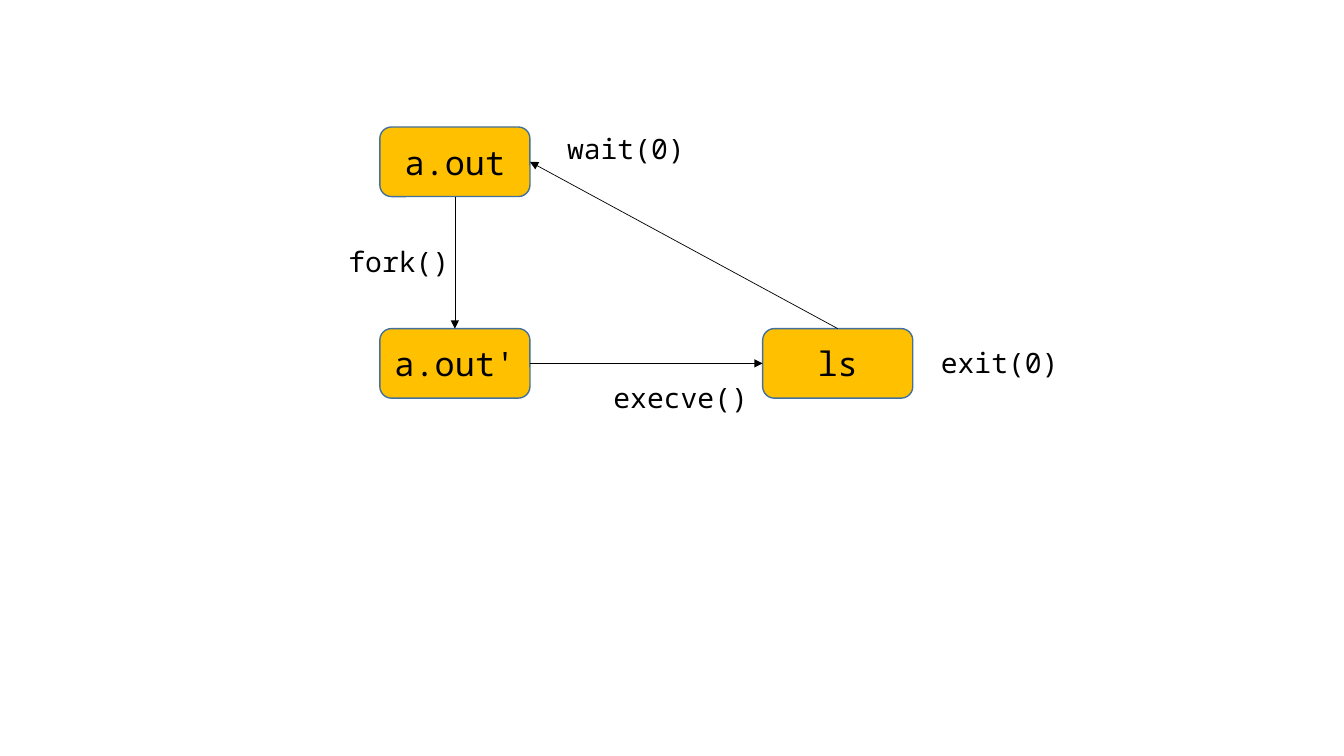
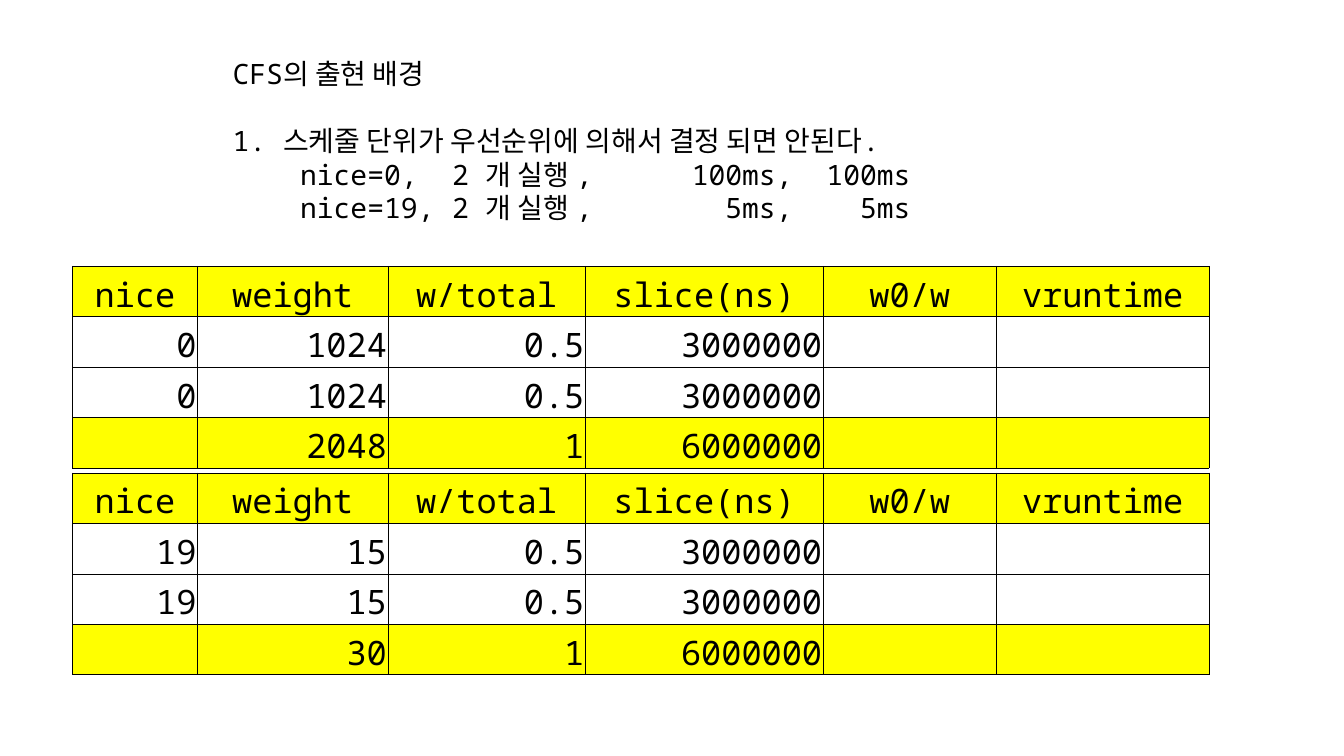
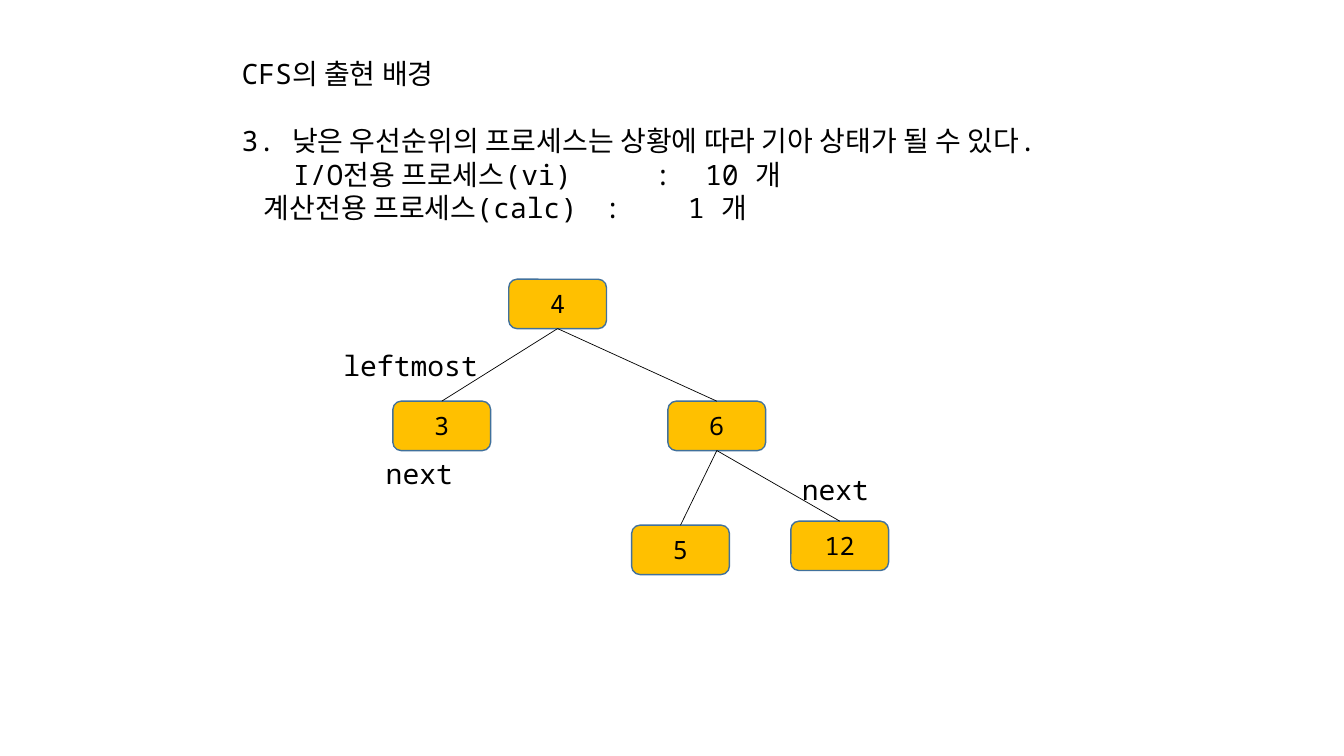
from pptx import Presentation
from pptx.dml.color import RGBColor
from pptx.enum.shapes import MSO_CONNECTOR, MSO_SHAPE
from pptx.enum.text import MSO_ANCHOR, PP_ALIGN
from pptx.oxml.ns import qn
from pptx.util import Inches, Pt
from lxml.etree import SubElement

FONT = "Noto Sans Mono"
COLORS = {"ink": "000000", "node": "FFC000", "edge": "41719C", "band": "FFFF00"}
CELL = 0.1  # side of one grid cell, in inches
TOP, LEFT, BASE, RIGHT = range(4)  # connection sites


def rgb(name):
    return RGBColor.from_string(COLORS[name])


def grid(cells):
    return Inches(cells * CELL)


def style(par, size, align=PP_ALIGN.LEFT):
    par.alignment = align
    par.font.size = Pt(size)
    for run in par.runs:
        run.font.size = Pt(size)
        run.font.name = FONT
        run.font.color.rgb = rgb("ink")


def set_tabs(par, stops):
    """Add tab stops, given as (cells, alignment)."""
    tabs = SubElement(par._p.get_or_add_pPr(), qn("a:tabLst"))
    for pos, align in stops:
        SubElement(tabs, qn("a:tab"), pos=str(grid(pos)), algn=align)


def add_node(slide, box, col, row, size, text, points):
    x, y = box
    node = slide.shapes.add_shape(
        MSO_SHAPE.ROUNDED_RECTANGLE, grid(x + col), grid(y + row), *map(grid, size))
    node.shadow.inherit = False
    node.fill.solid()
    node.fill.fore_color.rgb = rgb("node")
    node.line.color.rgb = rgb("edge")
    node.line.width = Pt(1)
    frame = node.text_frame
    frame.text = text
    frame.vertical_anchor = MSO_ANCHOR.MIDDLE
    style(frame.paragraphs[0], points, PP_ALIGN.CENTER)
    return node


def add_label(slide, box, col, row, text):
    x, y = box
    wide = len(text) * 1.67 + 2  # letters plus side margins
    label = slide.shapes.add_textbox(grid(x + col), grid(y + row), grid(wide), grid(4.4))
    label.text_frame.word_wrap = False
    label.text_frame.text = text
    style(label.text_frame.paragraphs[0], 20)


def join(slide, start, out, end, into, arrow=False):
    line = slide.shapes.add_connector(MSO_CONNECTOR.STRAIGHT, 0, 0, 0, 0)
    line.begin_connect(start, out)
    line.end_connect(end, into)
    line.line.color.rgb = rgb("ink")
    line.line.width = Pt(0.5)
    if arrow:
        SubElement(line.line._get_or_add_ln(), qn("a:tailEnd"), type="triangle")
    SubElement(line._element.spPr, qn("a:effectLst"))


def add_intro(slide, box, wide, point, rows):
    """Heading, numbered point and tabbed lines; rows hold (text, stops)."""
    x, y = box
    area = slide.shapes.add_textbox(grid(x), grid(y), grid(wide), grid(17.7))
    frame = area.text_frame
    frame.word_wrap = True
    lines = [("CFS의 출현 배경", []), (point, []), *rows]
    for i, (text, stops) in enumerate(lines):
        par = frame.add_paragraph() if i else frame.paragraphs[0]
        par.text = text
        if i == 1:
            par.space_before = Pt(24)
        if stops:
            set_tabs(par, stops)
        style(par, 20)


def add_rule(cell):
    props = cell._tc.get_or_add_tcPr()
    for side in ("lnL", "lnR", "lnT", "lnB"):
        line = SubElement(props, qn(f"a:{side}"), w=str(Pt(0.23)))
        fill = SubElement(line, qn("a:solidFill"))
        SubElement(fill, qn("a:srgbClr"), val=COLORS["ink"])


def add_slices(slide, box, nice, weight):
    """Two equal tasks and their total."""
    x, y = box
    task = [nice, weight, 0.5, 3000000, "", ""]
    rows = [["nice", "weight", "w/total", "slice(ns)", "w0/w", "vruntime"],
            task, task, ["", 2 * weight, 1, 6000000, "", ""]]
    cols = [12.4, 18.9, 19.6, 23.6, 17.2, 21.1]
    table = slide.shapes.add_table(
        len(rows), len(cols), grid(x), grid(y), grid(sum(cols)), grid(20)).table
    table.first_row = table.horz_banding = False
    for col, wide in zip(table.columns, cols):
        col.width = grid(wide)
    for r, row in enumerate(rows):
        for c, value in enumerate(row):
            cell = table.cell(r, c)
            add_rule(cell)
            if r in (0, len(rows) - 1):
                cell.fill.solid()
                cell.fill.fore_color.rgb = rgb("band")
            else:
                cell.fill.background()
            cell.margin_left = cell.margin_right = Inches(0.01)
            cell.vertical_anchor = MSO_ANCHOR.MIDDLE
            cell.text_frame.text = str(value)
            style(cell.text_frame.paragraphs[0], 24,
                  PP_ALIGN.RIGHT if r else PP_ALIGN.CENTER)


def add_flow(slide, box):
    """Life of a child process."""
    size = (14.9, 6.9)
    shell, child, tool = [
        add_node(slide, box, col, row, size, text, 24)
        for col, row, text in [(0, 0, "a.out"), (0, 20, "a.out'"), (38, 20, "ls")]]
    join(slide, shell, BASE, child, TOP, True)
    join(slide, child, RIGHT, tool, LEFT, True)
    join(slide, tool, TOP, shell, RIGHT, True)
    for col, row, text in [(-4.1, 11.2, "fork()"), (22.2, 24.7, "execve()"),
                           (54.7, 21.2, "exit(0)"), (17.6, 0, "wait(0)")]:
        add_label(slide, box, col, row, text)


def add_tree(slide, box):
    """Run queue as a search tree."""
    spots = {4: (11.5, 0), 3: (0, 12.1), 6: (27.3, 12.1),
             12: (39.5, 24), 5: (23.7, 24.4)}
    nodes = {key: add_node(slide, box, *spot, (9.7, 4.9), str(key), 18)
             for key, spot in spots.items()}
    for top, low in [(4, 3), (4, 6), (6, 12), (6, 5)]:
        join(slide, nodes[top], BASE, nodes[low], TOP)
    for col, row, text in [(39.6, 18.7, "next"), (-5.9, 6.4, "leftmost"),
                           (-1.7, 17.1, "next")]:
        add_label(slide, box, col, row, text)


def main():
    deck = Presentation()
    deck.slide_width, deck.slide_height = Inches(13.34), Inches(7.5)
    flow, share, queue = [deck.slides.add_slide(deck.slide_layouts[6]) for _ in range(3)]

    # Process calls
    add_flow(flow, (37.7, 12.6))

    # Time slices
    stops = [(6.7, "l"), (21.8, "l"), (55.6, "r"), (67.3, "r")]
    add_intro(share, (22.1, 5.1), 73.8,
              "1. 스케줄 단위가 우선순위에 의해서 결정 되면 안된다.",
              [("\tnice=0,\t2 개 실행 ,\t100ms,\t100ms", stops),
               ("\tnice=19,\t2 개 실행 ,\t5ms,\t5ms", stops)])
    for row, nice, weight in [(26.4, 0, 1024), (46.9, 19, 15)]:
        add_slices(share, (7.2, row), nice, weight)

    # Starvation
    add_intro(queue, (23, 5.1), 89.1,
              "3. 낮은 우선순위의 프로세스는 상황에 따라 기아 상태가 될 수 있다.",
              [("\tI/O전용 프로세스(vi)\t:\t10 개", [(5.1, "l"), (41, "l"), (46, "l")]),
               ("\t계산전용 프로세스(calc)\t:\t1 개", [(2.2, "l"), (36, "l"), (44.3, "l")])])
    add_tree(queue, (39, 27.7))

    deck.save("out.pptx")


if __name__ == "__main__":
    main()
